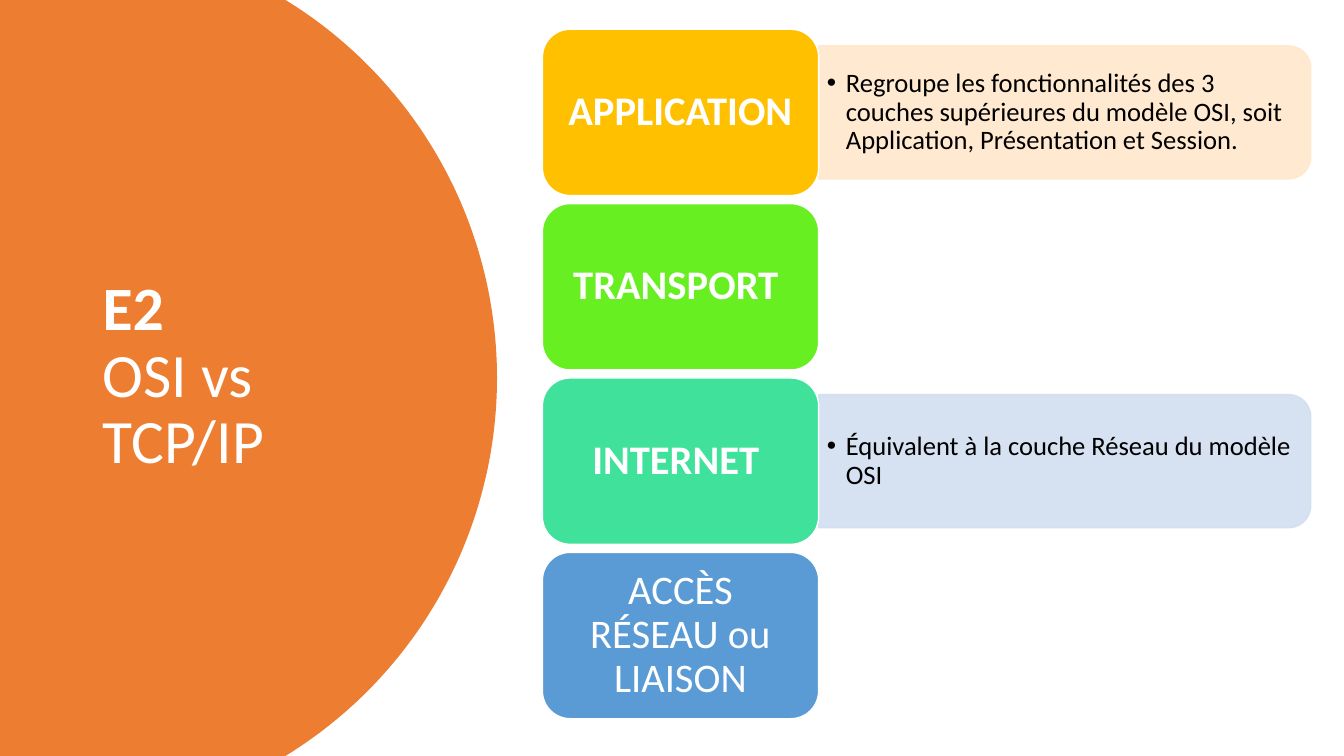
import math
from lxml import etree
from pptx import Presentation
from pptx.dml.color import RGBColor
from pptx.enum.shapes import MSO_SHAPE
from pptx.enum.text import MSO_ANCHOR, PP_ALIGN
from pptx.oxml.ns import qn
from pptx.util import Inches, Pt

ROUNDED = MSO_SHAPE.ROUNDED_RECTANGLE
HALF_ROUNDED = MSO_SHAPE.ROUND_2_SAME_RECTANGLE
MIDDLE = MSO_ANCHOR.MIDDLE
LEFT, CENTER = PP_ALIGN.LEFT, PP_ALIGN.CENTER

WHITE = RGBColor(0xFF, 0xFF, 0xFF)
BLACK = RGBColor(0x00, 0x00, 0x00)
ORANGE = RGBColor(0xED, 0x7D, 0x31)
AMBER = RGBColor(0xFF, 0xC0, 0x00)
GREEN = RGBColor(0x67, 0xEF, 0x21)
MINT = RGBColor(0x3F, 0xE1, 0x9B)
BLUE = RGBColor(0x5B, 0x9B, 0xD5)
PEACH = RGBColor(0xFF, 0xE8, 0xCC)
PALE_BLUE = RGBColor(0xD2, 0xDF, 0xF0)

TITLE = [("E2", True), ("OSI vs TCP/IP", False)]
LAYERS = [
    ("APPLICATION", True, AMBER, PEACH,
     "Regroupe les fonctionnalités des 3 couches supérieures du modèle OSI, "
     "soit Application, Présentation et Session. "),
    ("TRANSPORT ", True, GREEN, None, None),
    ("INTERNET ", True, MINT, PALE_BLUE, "Équivalent à la couche Réseau du modèle OSI"),
    ("ACCÈS RÉSEAU ou LIAISON", False, BLUE, None, None),
]

SLIDE_WIDTH, SLIDE_HEIGHT = 13.33, 7.5
ARC_CENTER, ARC_RADIUS, ARC_STEPS = 0.53, 4.4, 120
LAYER_LEFT, LAYER_TOP, LAYER_WIDTH, LAYER_HEIGHT = 5.38, 0.29, 2.74, 1.65
LAYER_PITCH = 1.73
PANEL_LEFT = LAYER_LEFT + LAYER_WIDTH
PANEL_LENGTH, PANEL_HEIGHT = 4.88, 0.8 * LAYER_HEIGHT
NOTE_WIDTH, NOTE_HEIGHT, NOTE_INDENT = 4.81, 1.19, 0.19


def paint(shape, fill, line=None, alpha=None):
    shape.shadow.inherit = False
    shape.fill.solid()
    shape.fill.fore_color.rgb = fill
    if line is None:
        shape.line.fill.background()
    else:
        shape.line.color.rgb = line
        shape.line.width = Pt(1)
    if alpha:
        for color in shape._element.spPr.iter(qn("a:srgbClr")):
            etree.SubElement(color, qn("a:alpha"), val=str(alpha * 1000))


def write(shape, runs, size, color, align, margin_x, margin_y):
    frame = shape.text_frame
    frame.word_wrap = True
    frame.vertical_anchor = MIDDLE
    frame.margin_left = frame.margin_right = Inches(margin_x)
    frame.margin_top = frame.margin_bottom = Inches(margin_y)
    paragraph = frame.paragraphs[0]
    paragraph.alignment = align
    paragraph.line_spacing = 0.9
    for index, (text, bold) in enumerate(runs):
        if index:
            paragraph.add_line_break()
        run = paragraph.add_run()
        run.text = text
        run.font.name = "Calibri"
        run.font.size = Pt(size)
        run.font.bold = bold
        run.font.color.rgb = color
    return paragraph


def add_bullet(paragraph):
    properties = paragraph._p.get_or_add_pPr()
    properties.set("marL", str(Inches(NOTE_INDENT)))
    properties.set("indent", str(-Inches(NOTE_INDENT)))
    etree.SubElement(properties, qn("a:buFont"), typeface="Arial")
    etree.SubElement(properties, qn("a:buChar"), char="•")


def add_title(slide):
    reach = math.asin(SLIDE_HEIGHT / 2 / ARC_RADIUS)
    angles = [reach * (2 * step / ARC_STEPS - 1) for step in range(ARC_STEPS + 1)]
    arc = [(Inches(ARC_CENTER + ARC_RADIUS * math.cos(angle)),
            Inches(SLIDE_HEIGHT / 2 + ARC_RADIUS * math.sin(angle))) for angle in angles]
    builder = slide.shapes.build_freeform(0, 0)
    builder.add_line_segments(arc + [(0, Inches(SLIDE_HEIGHT))], close=True)
    paint(builder.convert_to_shape(), ORANGE)
    box = slide.shapes.add_textbox(Inches(0.92), Inches(0.7), Inches(3.23), Inches(6.09))
    write(box, TITLE, 44, WHITE, LEFT, 0.1, 0.05)


def add_note(slide, middle, color, text):
    panel = slide.shapes.add_shape(
        HALF_ROUNDED, Inches(PANEL_LEFT + (PANEL_LENGTH - PANEL_HEIGHT) / 2),
        Inches(middle - PANEL_LENGTH / 2), Inches(PANEL_HEIGHT), Inches(PANEL_LENGTH))
    panel.rotation = 90
    paint(panel, color, color, 90)
    box = slide.shapes.add_textbox(Inches(PANEL_LEFT), Inches(middle - NOTE_HEIGHT / 2),
                                   Inches(NOTE_WIDTH), Inches(NOTE_HEIGHT))
    add_bullet(write(box, [(text, False)], 19, BLACK, LEFT, 0.08, 0.04))


presentation = Presentation()
presentation.slide_width = Inches(SLIDE_WIDTH)
presentation.slide_height = Inches(SLIDE_HEIGHT)
slide = presentation.slides.add_slide(presentation.slide_layouts[6])

add_title(slide)
for row, (name, bold, color, note_color, note) in enumerate(LAYERS):
    top = LAYER_TOP + row * LAYER_PITCH
    if note:
        add_note(slide, top + LAYER_HEIGHT / 2, note_color, note)
    layer = slide.shapes.add_shape(ROUNDED, Inches(LAYER_LEFT), Inches(top),
                                   Inches(LAYER_WIDTH), Inches(LAYER_HEIGHT))
    paint(layer, color, WHITE)
    write(layer, [(name, bold)], 29, WHITE, CENTER, 0.12, 0.06)

presentation.save("out.pptx")
